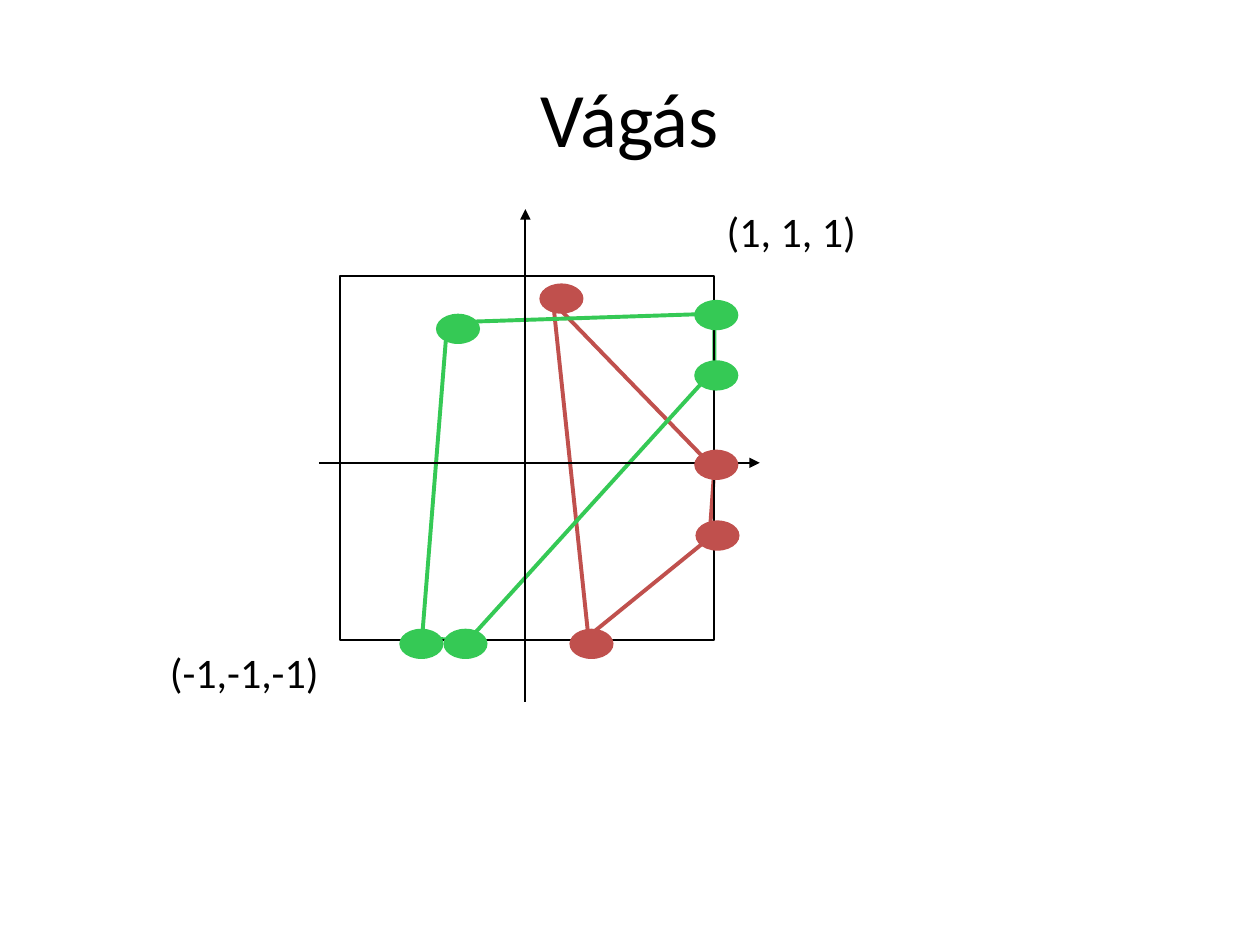
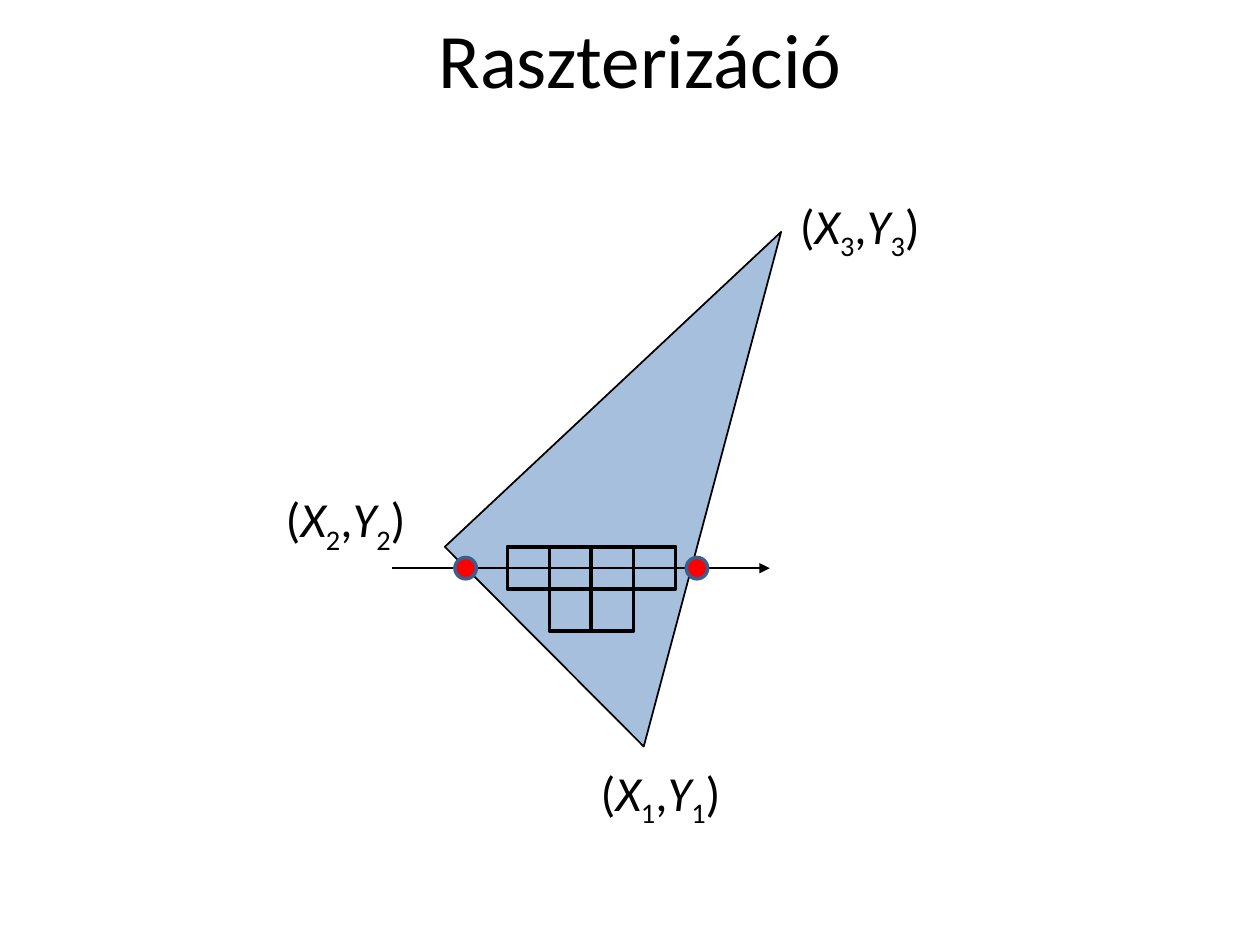
from lxml import etree
from pptx import Presentation
from pptx import util as u
from pptx.dml.color import RGBColor
from pptx.enum import dml, shapes, text
from pptx.oxml.ns import qn

BLACK = RGBColor(0x00, 0x00, 0x00)
GREEN = RGBColor(0x35, 0xC9, 0x55)
BRICK = RGBColor(0xC0, 0x50, 0x4D)
BLUE = RGBColor(0x4F, 0x81, 0xBD)
NAVY = RGBColor(0x3A, 0x5F, 0x8C)
RED = RGBColor(0xFF, 0x00, 0x00)


class Sketch:
    font_name = "Calibri"
    title_size = 44
    thin = 1
    thick = 2.25

    def __init__(self):
        self.deck = Presentation()
        self.deck.slide_width = u.Pt(720)
        self.deck.slide_height = u.Pt(540)
        self.page = None

    def new_page(self, title, left, top, height):
        self.page = self.deck.slides.add_slide(self.deck.slide_layouts[6])
        box = self.text_box(left, top, 648, height)
        box.text_frame.vertical_anchor = text.MSO_ANCHOR.MIDDLE
        para = box.text_frame.paragraphs[0]
        para.text = title
        para.alignment = text.PP_ALIGN.CENTER
        self.style_text(para.font, self.title_size)

    def style_text(self, font, size):
        font.name = self.font_name
        font.size = u.Pt(size)
        font.color.rgb = BLACK

    def text_box(self, left, top, width, height):
        box = self.page.shapes.add_textbox(u.Pt(left), u.Pt(top), u.Pt(width), u.Pt(height))
        box.text_frame.word_wrap = True
        return box

    def label(self, words, left, top, width, height):
        para = self.text_box(left, top, width, height).text_frame.paragraphs[0]
        para.text = words
        self.style_text(para.font, 24)

    def vertex_label(self, index, left, top):
        para = self.text_box(left, top, 100, 41).text_frame.paragraphs[0]
        for part in ("(", "X", index, ",", "Y", index, ")"):
            span = para.add_run()
            span.text = part
            self.style_text(span.font, 28)
            span.font.italic = part in ("X", "Y")
            if part == index:
                span._r.get_or_add_rPr().set("baseline", "-25000")

    def paint(self, shape, fill, line, weight):
        shape.shadow.inherit = False
        if fill is None:
            shape.fill.background()
        else:
            shape.fill.solid()
            shape.fill.fore_color.rgb = fill
        if line is None:
            shape.line.fill.background()
        else:
            shape.line.color.rgb = line
            shape.line.width = u.Pt(weight)

    def shape(self, kind, left, top, width, height, fill=None, line=None, weight=thin):
        shape = self.page.shapes.add_shape(
            kind, u.Pt(left), u.Pt(top), u.Pt(width), u.Pt(height))
        self.paint(shape, fill, line, weight)

    def rectangle(self, left, top, width, height, weight=thin):
        self.shape(shapes.MSO_SHAPE.RECTANGLE, left, top, width, height, None, BLACK, weight)

    def ellipse(self, left, top, width, height, fill, line=None, weight=thin):
        self.shape(shapes.MSO_SHAPE.OVAL, left, top, width, height, fill, line, weight)

    def polygon(self, corners, line, weight=thin, fill=None, opacity=100):
        points = [(u.Pt(x), u.Pt(y)) for x, y in corners]
        builder = self.page.shapes.build_freeform(*points[0])
        builder.add_line_segments(points[1:], close=True)
        shape = builder.convert_to_shape()
        self.paint(shape, fill, line, weight)
        if opacity < 100:
            color = shape.fill._xPr.find(qn("a:solidFill"))[0]
            etree.SubElement(color, qn("a:alpha")).set("val", str(opacity * 1000))

    def line(self, start, end, arrow=True, dash=None):
        ends = [u.Pt(value) for value in (*start, *end)]
        line = self.page.shapes.add_connector(shapes.MSO_CONNECTOR.STRAIGHT, *ends)
        line.line.color.rgb = BLACK
        line.line.width = u.Pt(self.thin)
        if dash is not None:
            line.line.dash_style = dash
        if arrow:
            etree.SubElement(line.line._get_or_add_ln(), qn("a:tailEnd")).set("type", "triangle")
        etree.SubElement(line._element.spPr, qn("a:effectLst"))


def clipping_page(sketch):
    sketch.new_page("Vágás", 36, 21.6, 90)

    red_outline = [(336.2, 363.6), (316.1, 172.8), (408.2, 267.8), (405.4, 307.4)]
    green_outline = [(241.2, 364.3), (255.6, 184.3), (408.2, 179.3), (408.2, 211), (267.1, 366.5)]
    sketch.polygon(red_outline, BRICK, sketch.thick)
    sketch.polygon(green_outline, GREEN, sketch.thick)

    sketch.line((300.2, 401), (300.2, 119.5))
    sketch.line((182.2, 264.5), (434.2, 264.5))
    sketch.line((194.4, 176.4), (194.4, 356.4), arrow=False, dash=dml.MSO_LINE.ROUND_DOT)
    sketch.rectangle(194.4, 157.7, 213.8, 208)

    green_dots = [(249.1, 179.3), (396.7, 205.9), (396.7, 171.4), (253.4, 359.3), (228.2, 359.3)]
    red_dots = [(325.4, 359.3), (308.2, 162), (396.7, 257), (397.4, 297.4)]
    for color, dots in ((GREEN, green_dots), (BRICK, red_dots)):
        for left, top in dots:
            sketch.ellipse(left, top, 25.2, 17.3, color)

    sketch.label("(-1,-1,-1)", 90, 365.8, 152, 54)
    sketch.label("(1, 1, 1)", 408.2, 113.8, 134, 54)


def raster_page(sketch):
    sketch.new_page("Raszterizáció", 41.8, 0, 66.2)
    triangle = [(367.9, 426.6), (254.2, 312.5), (446.4, 132.5)]
    sketch.polygon(triangle, BLACK, fill=BLUE, opacity=50)

    pixel = 24
    for row, columns in enumerate((range(4), range(1, 3))):
        for column in columns:
            sketch.rectangle(290 + column * pixel, 312.5 + row * pixel, pixel, pixel, sketch.thick)

    scan_y = 324.7
    sketch.line((223.9, scan_y), (439.9, scan_y))

    for index, left, top in (("3", 450, 108), ("1", 336.2, 432), ("2", 156.2, 275.8)):
        sketch.vertex_label(index, left, top)

    dot = 12.2
    for left in (392.2, 260):
        sketch.ellipse(left, scan_y - dot / 2, dot, dot, RED, NAVY, 2)


def main():
    sketch = Sketch()
    clipping_page(sketch)
    raster_page(sketch)
    sketch.deck.save("out.pptx")


if __name__ == "__main__":
    main()
